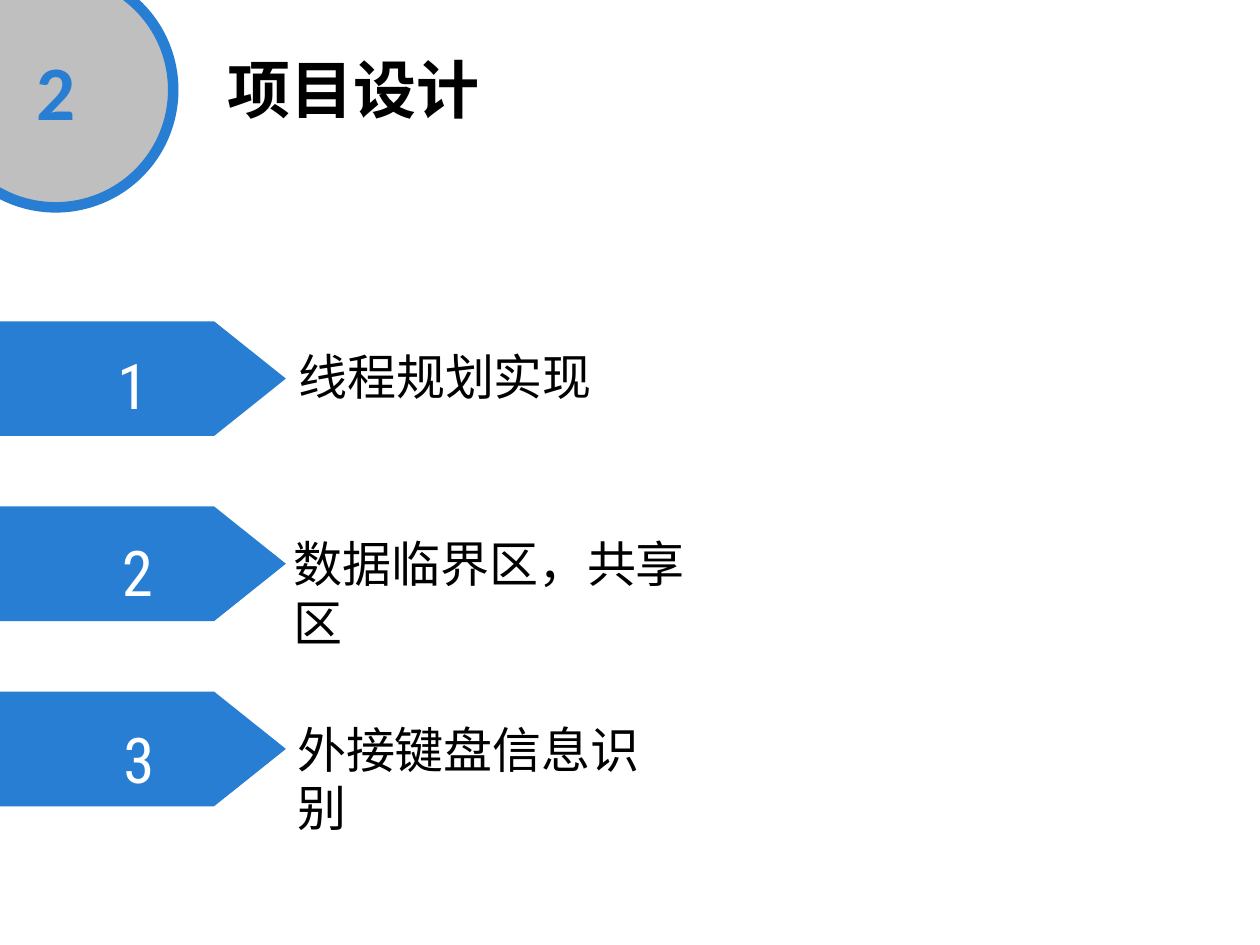
from pptx import Presentation
from pptx.dml.color import RGBColor
from pptx.enum import shapes, text
from pptx.oxml.ns import qn
from pptx.util import Pt

BLUE, GREY, BLACK, WHITE = "287ED3", "BFBFBF", "000000", "FFFFFF"
CJK = "Noto Sans CJK SC"


def color(value):
    return RGBColor.from_string(value)


def write(tf, content, size, font, fill, bold=False, align=text.PP_ALIGN.LEFT):
    p = tf.paragraphs[0]
    p.alignment = align
    r = p.add_run()
    r.text = content
    r.font.size, r.font.bold, r.font.name = Pt(size), bold, font
    r.font.color.rgb = color(fill)
    ea = r._r.get_or_add_rPr().makeelement(qn("a:ea"), {"typeface": font})
    r.font._element.find(qn("a:latin")).addnext(ea)


def add_text(s, x, y, w, h, content, wrap=False, **fmt):
    tf = s.shapes.add_textbox(Pt(x), Pt(y), Pt(w), Pt(h)).text_frame
    tf.word_wrap = wrap
    write(tf, content, **fmt)


def add_header(s, x, y, size, number, title):
    # Section badge
    sp = s.shapes.add_shape(shapes.MSO_SHAPE.OVAL, Pt(x), Pt(y), Pt(size), Pt(size))
    sp.shadow.inherit = False
    sp.fill.solid()
    sp.fill.fore_color.rgb = color(GREY)
    sp.line.color.rgb = color(BLUE)
    sp.line.width = Pt(6)
    sp.text_frame.vertical_anchor = text.MSO_ANCHOR.MIDDLE
    write(sp.text_frame, number, 44, "Calibri", BLUE, bold=True,
          align=text.PP_ALIGN.CENTER)
    # Slide title
    add_text(s, x + 158.4, y + 41, 445.7, 50.4, title, wrap=True,
             size=36, font=CJK, fill=BLACK, bold=True)


def add_item(s, x, y, w, h, number, number_at, label, label_at, label_w):
    # Pointed banner
    tip = w - 41
    fb = s.shapes.build_freeform(Pt(x), Pt(y))
    fb.add_line_segments([(Pt(x + dx), Pt(y + dy)) for dx, dy in
                          ((tip, 0), (w, h / 2), (tip, h), (0, h))])
    sp = fb.convert_to_shape()
    sp.shadow.inherit = False
    sp.fill.solid()
    sp.fill.fore_color.rgb = color(BLUE)
    sp.line.fill.background()
    # Number and label, offset from the banner's corner
    dx, dy = number_at
    add_text(s, x + dx, y + dy, 34.6, 50.4, number,
             size=36, font="Roboto Condensed", fill=WHITE)
    dx, dy = label_at
    add_text(s, x + dx, y + dy, label_w, 41, label,
             size=28, font="Arial", fill=BLACK)


prs = Presentation()
prs.slide_width, prs.slide_height = Pt(720), Pt(540)
s = prs.slides.add_slide(prs.slide_layouts[6])

add_header(s, -35.3, -15.8, 134.3, "2", "项目设计")

items = [
    ((59.8, 10.8), "线程规划实现", (163.4, 10.8), 182.2),
    ((62.6, 12.2), "数据临界区，共享区", (160.6, 12.2), 265.7),
    ((63.4, 13), "外接键盘信息识别", (162.7, 12.2), 237.6),
]
for i, (number_at, label, label_at, label_w) in enumerate(items):
    add_item(s, 0, 183.6 + i * 105.8, 163.4, 65.5, str(i + 1), number_at,
             label, label_at, label_w)

prs.save("out.pptx")
